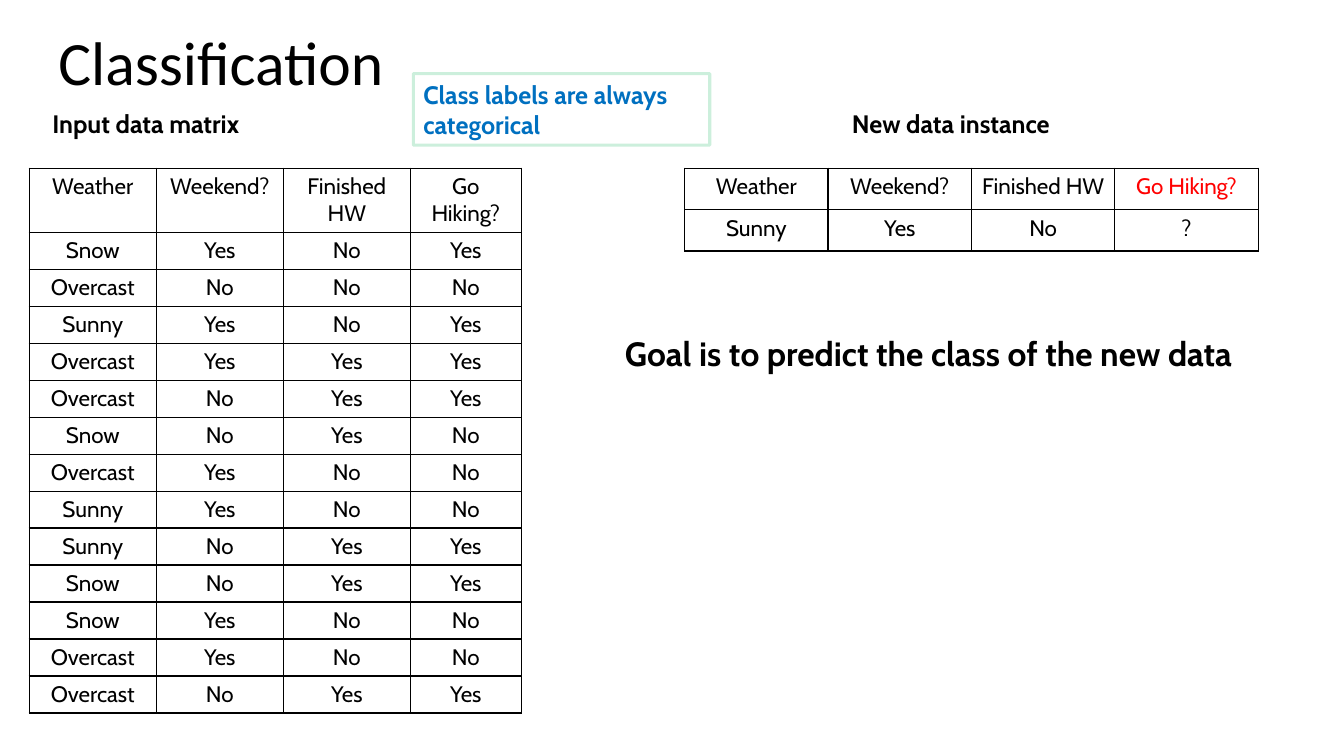
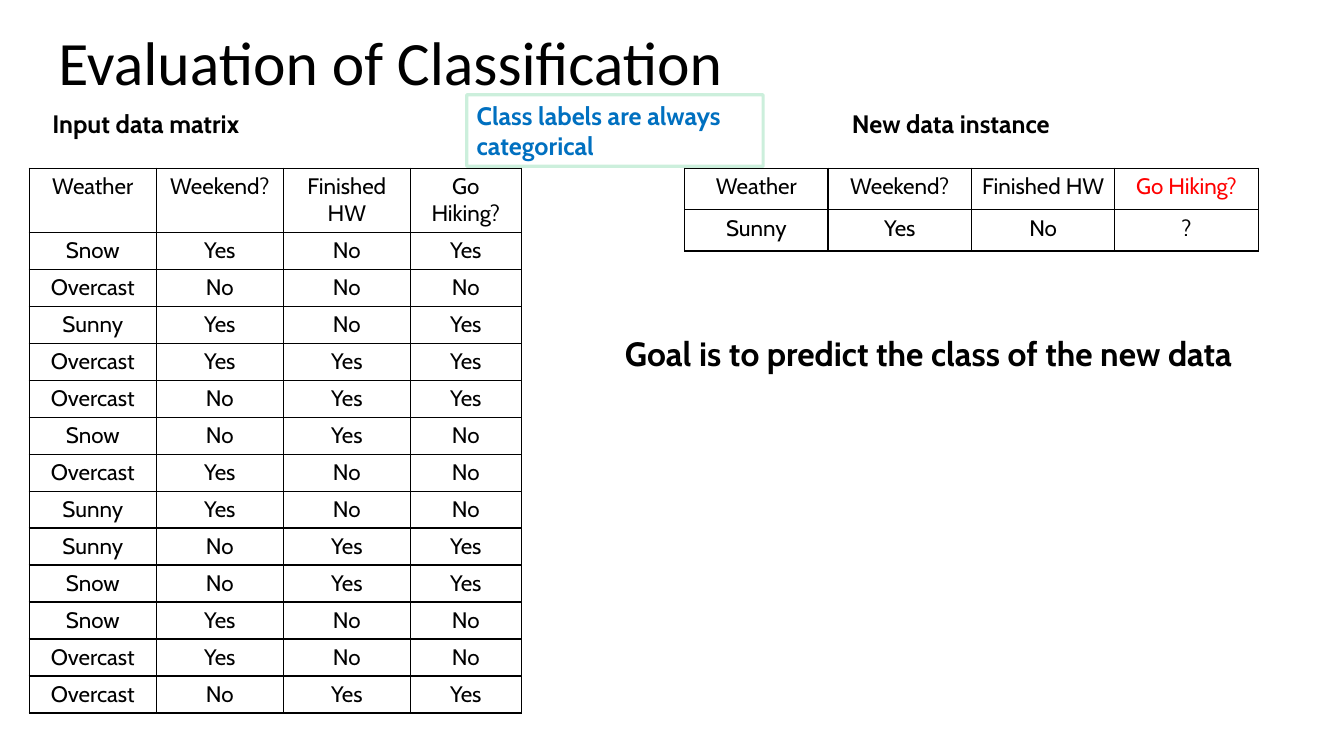
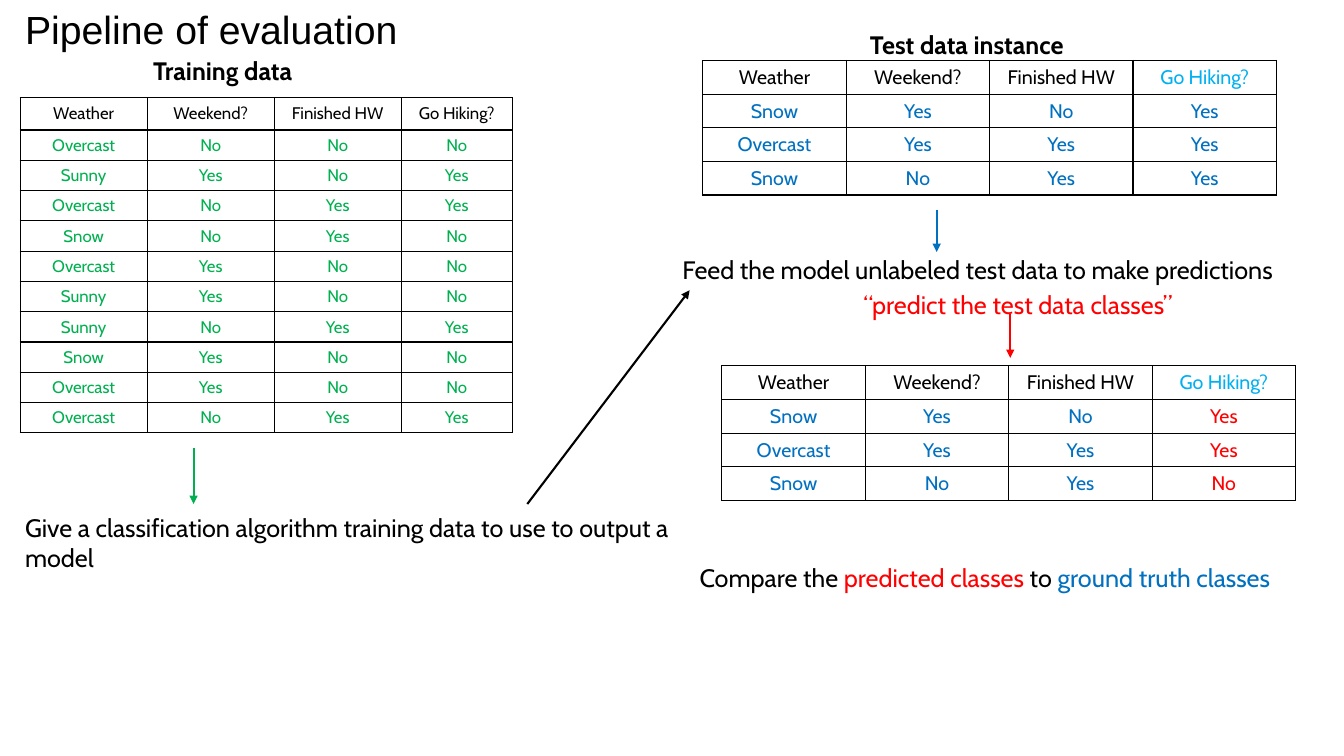
from lxml import etree
from pptx import Presentation
from pptx.dml.color import RGBColor
from pptx.enum.shapes import MSO_CONNECTOR, MSO_SHAPE
from pptx.enum.text import PP_ALIGN
from pptx.oxml.ns import qn
from pptx.util import Inches, Pt

LEFT, CENTER = PP_ALIGN.LEFT, PP_ALIGN.CENTER
RECT, LINE = MSO_SHAPE.RECTANGLE, MSO_CONNECTOR.STRAIGHT

HUES = {"black": "000000", "red": "FF0000", "blue": "0070C0",
        "sky": "00B0F0", "green": "00B050"}
FONT = "Cabin"
EDGES = ("a:lnL", "a:lnR", "a:lnT", "a:lnB")

WIDE = [5.69 / 4] * 4
SLIM = [1.26, 1.26, 1.26, 1.1]

HEAD = ["Weather", "Weekend?", "Finished HW", "Go Hiking?"]
DATA = [row.split() for row in (
    "Snow Yes No Yes",
    "Overcast No No No",
    "Sunny Yes No Yes",
    "Overcast Yes Yes Yes",
    "Overcast No Yes Yes",
    "Snow No Yes No",
    "Overcast Yes No No",
    "Sunny Yes No No",
    "Sunny No Yes Yes",
    "Snow No Yes Yes",
    "Snow Yes No No",
    "Overcast Yes No No",
    "Overcast No Yes Yes",
)]
HELD = (0, 3, 9)  # rows kept aside for testing
TEST = [DATA[i] for i in HELD]
TRAIN = [row for i, row in enumerate(DATA) if i not in HELD]
GUESS = [row[:3] + [label] for row, label in zip(TEST, ("Yes", "Yes", "No"))]


def color(hue):
    return RGBColor.from_string(HUES[hue])


class Deck:
    def __init__(self):
        self.file = Presentation()
        self.file.slide_width, self.file.slide_height = Inches(13.33), Inches(7.5)

    def page(self):
        self.shapes = self.file.slides.add_slide(self.file.slide_layouts[6]).shapes

    def fill(self, frame, parts, size=18, hue="black", bold=False, align=LEFT, font=FONT):
        """Fill a text frame from a string or a list of (text, hue) runs."""
        frame.word_wrap = True
        para = frame.paragraphs[0]
        para.alignment = align
        para.font.name, para.font.size, para.font.bold = font, Pt(size), bold
        if isinstance(parts, str):
            parts = [(parts, hue)]
        for words, tint in parts:
            run = para.add_run()
            run.text = words
            run.font.color.rgb = color(tint)

    def text(self, x, y, w, h, parts, **style):
        box = self.shapes.add_textbox(Inches(x), Inches(y), Inches(w), Inches(h))
        self.fill(box.text_frame, parts, **style)

    def title(self, w, words):
        self.text(0.48, 0.19, w, 0.84, words, size=44, font="Calibri")

    def label(self, x, y, words):
        self.text(x, y, 2.38, 0.4, words, bold=True)

    def note(self, x, y, words):
        """Draw a callout with a faint green outline."""
        box = self.shapes.add_shape(RECT, Inches(x), Inches(y), Inches(2.94), Inches(0.71))
        box.shadow.inherit = False
        box.fill.background()
        box.line.width = Pt(2.25)
        box.line.color.rgb = color("green")
        tint = box.element.spPr.find(".//" + qn("a:srgbClr"))
        etree.SubElement(tint, qn("a:alpha"), val="20000")
        self.fill(box.text_frame, words, hue="blue", bold=True)

    def arrow(self, x1, y1, x2, y2, hue):
        link = self.shapes.add_connector(LINE, Inches(x1), Inches(y1), Inches(x2), Inches(y2))
        link.line.width = Pt(1.5)
        link.line.color.rgb = color(hue)
        props = link.element.spPr
        etree.SubElement(props.find(qn("a:ln")), qn("a:tailEnd"), type="triangle")
        etree.SubElement(props, qn("a:effectLst"))

    def border(self, cell):
        props = cell._tc.get_or_add_tcPr()
        for edge in EDGES:
            line = etree.SubElement(props, qn(edge), w=str(Pt(1)))
            fill = etree.SubElement(line, qn("a:solidFill"))
            etree.SubElement(fill, qn("a:srgbClr"), val=HUES["black"])

    def table(self, x, y, cols, top, step, body, size, hue="black", key="black", last=None):
        """Draw HEAD over body; key tints the last heading, last the cells below it."""
        rows = [HEAD] + body
        highs = [top] + [step] * len(body)
        grid = self.shapes.add_table(len(rows), len(cols), Inches(x), Inches(y),
                                     Inches(sum(cols)), Inches(sum(highs))).table
        grid.first_row = grid.horz_banding = False
        for col, wide in zip(grid.columns, cols):
            col.width = Inches(wide)
        for r, (row, high) in enumerate(zip(rows, highs)):
            grid.rows[r].height = Inches(high)
            base, end = (hue, last or hue) if r else ("black", key)
            for c, words in enumerate(row):
                cell = grid.cell(r, c)
                self.border(cell)
                cell.fill.background()
                tint = end if c == len(cols) - 1 else base
                self.fill(cell.text_frame, words, size=size, hue=tint, align=CENTER)

    def task(self, name, wide, x, y):
        """Build a page on the classification task, with its note at x, y."""
        self.page()
        self.title(wide, name)
        self.table(0.29, 1.67, SLIM, 0.62, 0.36, DATA, 16)
        self.label(0.42, 1.03, "Input data matrix")
        self.label(8.35, 1.03, "New data instance")
        self.table(6.79, 1.67, WIDE, 0.41, 0.41, [["Sunny", "Yes", "No", "?"]], 16, key="red")
        self.text(6.1, 3.25, 6.69, 0.5, "Goal is to predict the class of the new data",
                  size=24, bold=True)
        self.note(x, y, "Class labels are always categorical")

    def flow(self):
        """Build the page on the evaluation pipeline."""
        self.page()
        self.text(0.15, 0, 5.89, 0.57, "Pipeline of evaluation", size=28, font="Arial")

        self.label(1.42, 0.5, "Training data")
        self.table(0.2, 0.97, SLIM, 0.32, 0.3, TRAIN, 12, hue="green")
        self.arrow(1.92, 4.44, 1.92, 5, "green")
        self.text(0.15, 5.03, 6.69, 0.71,
                  "Give a classification algorithm training data to use to output a model")
        self.arrow(5.23, 5, 6.84, 2.88, "black")

        self.label(8.53, 0.24, "Test data instance")
        self.table(6.97, 0.6, WIDE, 0.33, 0.33, TEST, 14, hue="blue", key="sky")
        self.arrow(9.29, 2.08, 9.29, 2.5, "blue")
        self.text(6.67, 2.47, 6.69, 0.4,
                  "Feed the model unlabeled test data to make predictions")
        self.text(6.75, 2.82, 6.69, 0.4, "“predict the test data classes”",
                  hue="red", align=CENTER)
        self.arrow(10.02, 3.12, 10.02, 3.55, "red")
        self.table(7.16, 3.63, WIDE, 0.33, 0.33, GUESS, 14, hue="blue", key="sky", last="red")
        self.text(6.84, 5.53, 6.14, 0.4, [
            ("Compare the ", "black"), ("predicted classes ", "red"),
            ("to ", "black"), ("ground truth classes", "blue")])


def main():
    deck = Deck()
    deck.task("Classification", 3.62, 4.1, 0.73)
    deck.task("Evaluation of Classification", 8, 4.63, 0.94)
    deck.flow()
    deck.file.save("out.pptx")


if __name__ == "__main__":
    main()
